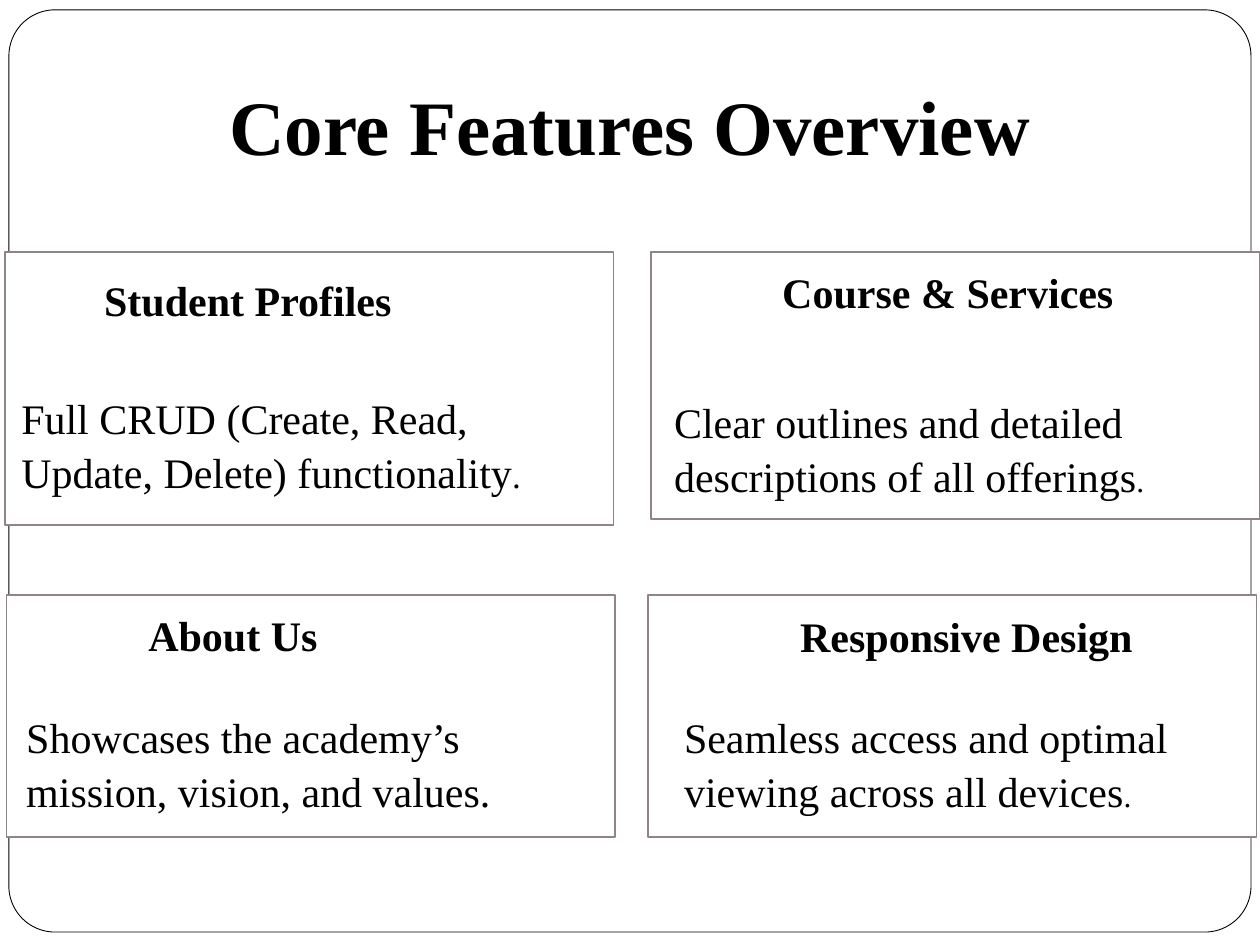
"""Builds the Core Features Overview slide."""
from dataclasses import dataclass

from pptx import Presentation
from pptx import util as u
from pptx.dml.color import RGBColor
from pptx.enum import shapes, text


@dataclass(frozen=True)
class Theme:
    """Colours, font and type sizes of the slide."""
    font: str = "Times New Roman"
    ink: str = "000000"
    paper: str = "FFFFFF"
    border: str = "918485"
    title_size: int = 44
    body_size: int = 24


@dataclass(frozen=True)
class Feature:
    """One feature card; boxes are left, top, width, height in cm."""
    heading: str
    body: str
    stop_size: int
    card_box: tuple
    heading_box: tuple
    body_box: tuple


def write(paragraph, theme, wording, size, bold=False):
    """Adds one formatted run to a paragraph."""
    run = paragraph.add_run()
    run.text = wording
    run.font.name = theme.font
    run.font.size = u.Pt(size)
    run.font.bold = bold
    run.font.color.rgb = RGBColor.from_string(theme.ink)


class FeatureSlide:
    """Holds the style and the current slide."""

    def __init__(self, deck, theme):
        """Starts a title-only slide."""
        self.theme = theme
        self.slide = deck.slides.add_slide(deck.slide_layouts[5])

    def panel(self, box, line, weight, preset=shapes.MSO_SHAPE.RECTANGLE):
        """Adds an outlined shape filled with the paper colour."""
        panel = self.slide.shapes.add_shape(preset, *map(u.Cm, box))
        panel.shadow.inherit = False
        panel.fill.solid()
        panel.fill.fore_color.rgb = RGBColor.from_string(self.theme.paper)
        panel.line.color.rgb = RGBColor.from_string(line)
        panel.line.width = u.Pt(weight)
        return panel

    def frame(self, box, rounding):
        """Adds the rounded border behind everything."""
        frame = self.panel(box, self.theme.ink, 0.5, shapes.MSO_SHAPE.ROUNDED_RECTANGLE)
        frame.adjustments[0] = rounding

    def title(self, box, wording):
        """Places the title placeholder in front of the frame."""
        title = self.slide.shapes.title
        title.left, title.top, title.width, title.height = map(u.Cm, box)
        title.text_frame.vertical_anchor = text.MSO_ANCHOR.TOP
        title.text_frame.word_wrap = True
        title.text_frame.auto_size = text.MSO_AUTO_SIZE.NONE
        line = title.text_frame.paragraphs[0]
        line.alignment = text.PP_ALIGN.CENTER
        line.line_spacing = 1.1
        write(line, self.theme, wording, self.theme.title_size, bold=True)
        self.slide.shapes._spTree.append(title._element)

    def label(self, box, wording, bold=False, stop_size=None):
        """Adds wrapped text, with an optional full stop of its own size."""
        frame = self.slide.shapes.add_textbox(*map(u.Cm, box)).text_frame
        frame.word_wrap = True
        line = frame.paragraphs[0]
        line.line_spacing = 1.07
        write(line, self.theme, wording, self.theme.body_size, bold)
        if stop_size:
            write(line, self.theme, ".", stop_size)

    def feature(self, feature):
        """Adds a card with its heading and description."""
        self.panel(feature.card_box, self.theme.border, 1)
        self.label(feature.heading_box, feature.heading, bold=True)
        self.label(feature.body_box, feature.body, stop_size=feature.stop_size)


FEATURES = [
    Feature("Student Profiles", "Full CRUD (Create, Read, Update, Delete) functionality", 20,
            (0.1, 5.08, 12.27, 5.51), (1.85, 5.33, 6.48, 2.06), (0.18, 7.72, 11.23, 3.07)),
    Feature("Course & Services", "Clear outlines and detailed descriptions of all offerings", 18,
            (13.13, 5.08, 12.27, 5.38), (15.52, 5.18, 8.05, 2.06), (13.34, 7.8, 11.43, 3.07)),
    Feature("About Us", "Showcases the academy’s mission, vision, and values", 24,
            (0.13, 11.99, 12.27, 4.88), (2.74, 12.09, 8.64, 2.06), (0.28, 14.15, 11.79, 3.33)),
    Feature("Responsive Design", "Seamless access and optimal viewing across all devices", 18,
            (13.06, 11.99, 12.27, 4.88), (15.88, 12.12, 8.46, 2.06), (13.54, 14.15, 10.36, 3.07)),
]


def main():
    """Builds and saves the deck."""
    deck = Presentation()
    deck.slide_width, deck.slide_height = u.Cm(25.4), u.Cm(19.05)
    overview = FeatureSlide(deck, Theme())
    overview.frame((0.18, 0.2, 25.04, 18.59), 0.05)
    overview.title((0, 1.27, 25.4, 2.9), "Core Features Overview")
    for feature in FEATURES:
        overview.feature(feature)
    deck.save("out.pptx")


if __name__ == "__main__":
    main()
